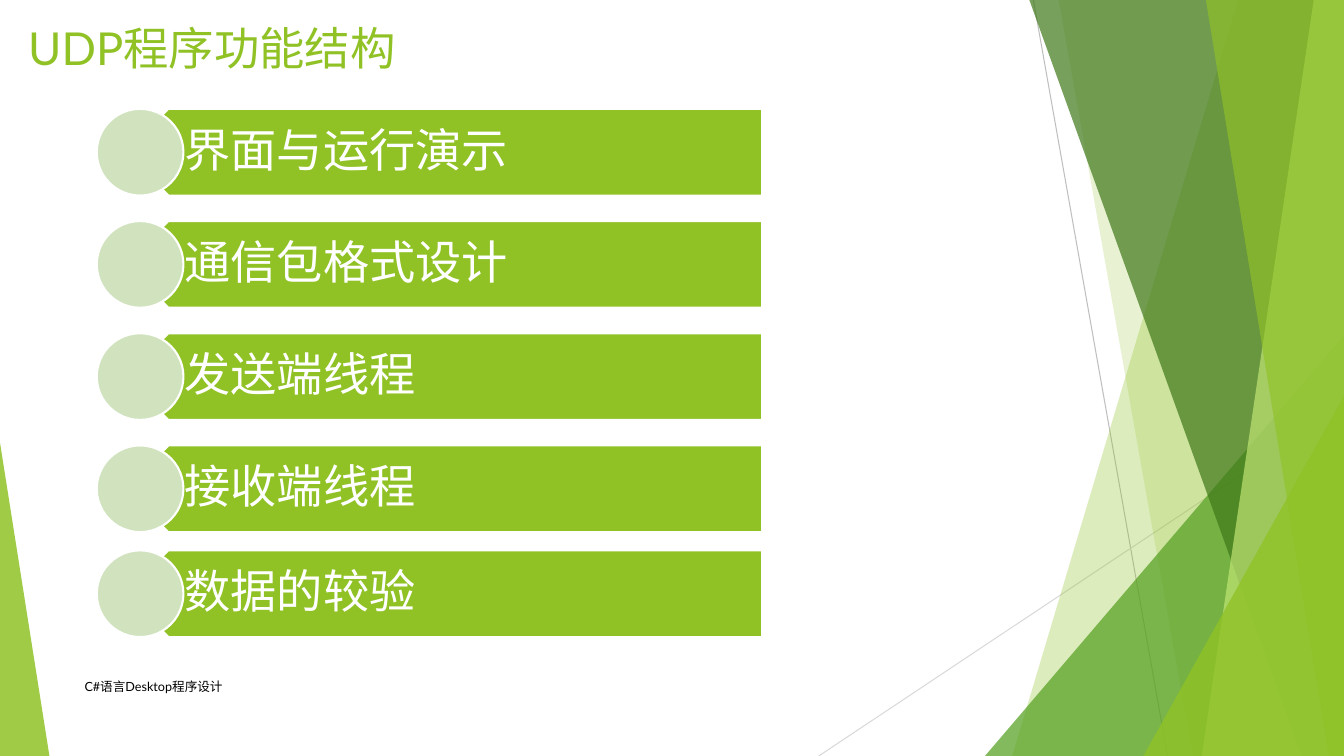
from lxml import etree
from pptx import Presentation
from pptx.dml.color import RGBColor
from pptx.enum.shapes import MSO_CONNECTOR, MSO_SHAPE
from pptx.enum.text import MSO_ANCHOR, MSO_AUTO_SIZE, PP_ALIGN
from pptx.oxml.ns import qn
from pptx.util import Inches, Pt

STRAIGHT = MSO_CONNECTOR.STRAIGHT
TRIANGLE, PENTAGON, OVAL = MSO_SHAPE.ISOSCELES_TRIANGLE, MSO_SHAPE.PENTAGON, MSO_SHAPE.OVAL
TOP, MIDDLE = MSO_ANCHOR.TOP, MSO_ANCHOR.MIDDLE
LEFT, NO_FIT = PP_ALIGN.LEFT, MSO_AUTO_SIZE.NONE

WIDTH, HEIGHT = Inches(13.33), Inches(7.5)
FONT = "Lato"
COLORS = {
    "lime": "90C226", "green": "54A021", "forest": "3F7819", "pale": "C0E474",
    "disc": "D1E3BE", "white": "FFFFFF", "black": "000000",
    "gray": "BFBFBF", "silver": "D9D9D9",
}
TOPICS = ["界面与运行演示", "通信包格式设计", "发送端线程", "接收端线程", "数据的较验"]
FIRST_ROW, ROW_STEP, LAST_ROW, ROW_HEIGHT = 14.4, 14.84, 72.8, 11.47


def across(share):
    return round(WIDTH * share / 100)


def down(share):
    return round(HEIGHT * share / 100)


def area(left, top, width, height):
    return across(left), down(top), across(width), down(height)


def color(name):
    return RGBColor.from_string(COLORS[name])


def paint(shape, fill, opacity=100, outline=None):
    shape.shadow.inherit = False
    shape.fill.solid()
    shape.fill.fore_color.rgb = color(fill)
    if opacity < 100:
        tint = shape._element.spPr.find(".//" + qn("a:srgbClr"))
        etree.SubElement(tint, qn("a:alpha"), val=str(opacity * 1000))
    if outline:
        shape.line.color.rgb = color(outline)
        shape.line.width = Pt(1.5)
    else:
        shape.line.fill.background()


def add_preset(page, kind, place, fill, **look):
    shape = page.shapes.add_shape(kind, *area(*place))
    paint(shape, fill, **look)
    return shape


def add_triangle(page, place, apex, fill, opacity):
    add_preset(page, TRIANGLE, place, fill, opacity=opacity).adjustments[0] = apex


def add_facet(page, top_left, bottom_left, fill, opacity):
    outline = page.shapes.build_freeform(across(top_left), 0)
    outline.add_line_segments([(WIDTH, 0), (WIDTH, HEIGHT), (across(bottom_left), HEIGHT)])
    paint(outline.convert_to_shape(), fill, opacity)


def add_line(page, start, end, stroke):
    line = page.shapes.add_connector(
        STRAIGHT, across(start[0]), down(start[1]), across(end[0]), down(end[1]))
    line.line.color.rgb = color(stroke)
    line.line.width = Pt(0.75)
    etree.SubElement(line._element.spPr, qn("a:effectLst"))


def write(box, text, size, ink, anchor=MIDDLE, insets=(0.1, 0.05, 0.1, 0.05),
          spacing=1.0, after=0):
    frame = box.text_frame
    frame.word_wrap = True
    frame.auto_size = NO_FIT
    frame.vertical_anchor = anchor
    (frame.margin_left, frame.margin_top,
     frame.margin_right, frame.margin_bottom) = map(Inches, insets)
    para = frame.paragraphs[0]
    para.alignment = LEFT
    para.line_spacing = spacing
    para.space_after = Pt(after)
    span = para.add_run()
    span.text = text
    span.font.name = FONT
    span.font.size = Pt(size)
    span.font.color.rgb = color(ink)


def add_decoration(page):
    add_line(page, (76.89, 0), (86.87, 100), "gray")
    add_line(page, (100, 53.73), (60.92, 100), "silver")
    add_facet(page, 92.12, 75.32, "lime", 30)
    add_facet(page, 78.77, 88.75, "lime", 20)
    add_triangle(page, (73.29, 44.4, 26.71, 55.6), 1, "green", 72)
    add_facet(page, 76.59, 96.85, "forest", 70)
    add_facet(page, 97.75, 89.42, "pale", 70)
    add_facet(page, 89.72, 98.87, "lime", 65)
    add_triangle(page, (85.07, 52.4, 14.93, 47.6), 1, "lime", 80)
    add_triangle(page, (0, 58.53, 3.68, 41.47), 0, "lime", 85)


def add_topic(page, top, text):
    bar = add_preset(page, PENTAGON, (9.3, top, 47.41, ROW_HEIGHT), "lime", outline="white")
    bar.rotation = 180
    label = page.shapes.add_textbox(*area(10.88, top, 45.84, ROW_HEIGHT))
    write(label, text, 33, "white", insets=(0.38, 0.14, 0.26, 0.14), spacing=0.9, after=11.55)
    add_preset(page, OVAL, (7.2, top, 6.45, ROW_HEIGHT), "disc", outline="white")


def main():
    deck = Presentation()
    deck.slide_width, deck.slide_height = WIDTH, HEIGHT
    page = deck.slides.add_slide(deck.slide_layouts[5])
    add_decoration(page)
    footer = page.shapes.add_textbox(*area(5.55, 88.13, 51.69, 5.33))
    write(footer, "C#语言Desktop程序设计", 9, "black")
    title = page.shapes.title
    title.left, title.top, title.width, title.height = area(1.35, 2, 29.41, 9.47)
    write(title, "UDP程序功能结构", 32.4, "lime", anchor=TOP)
    tops = [FIRST_ROW + ROW_STEP * row for row in range(len(TOPICS) - 1)] + [LAST_ROW]
    for top, topic in zip(tops, TOPICS):
        add_topic(page, top, topic)
    deck.save("out.pptx")


main()
